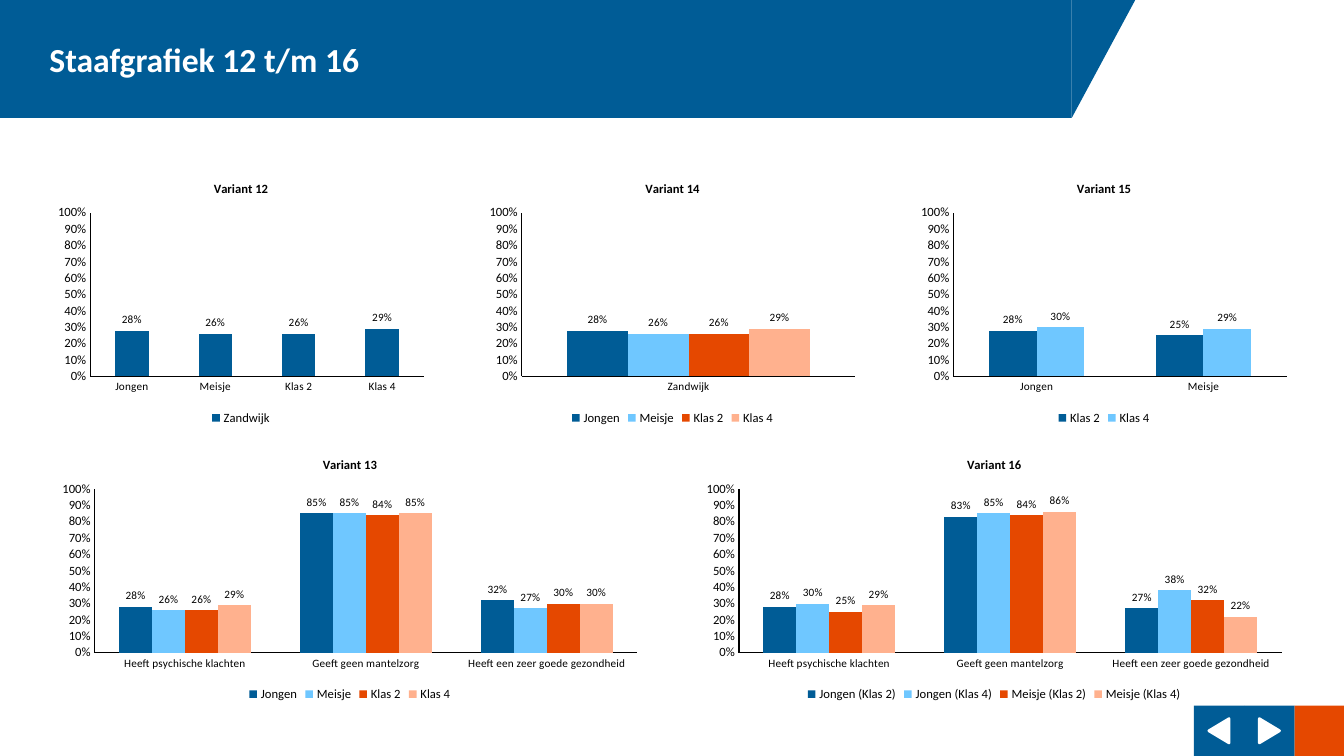
"""Build a slide with five clustered column charts below a title banner."""
from pptx import Presentation
from pptx.chart.data import CategoryChartData as Data
from pptx.dml.color import RGBColor
from pptx.enum.chart import XL_CHART_TYPE as Kind
from pptx.enum.chart import XL_LABEL_POSITION as Spot
from pptx.enum.chart import XL_LEGEND_POSITION as Side
from pptx.enum.chart import XL_TICK_MARK as Tick
from pptx.enum.shapes import MSO_SHAPE as Form
from pptx.enum.text import MSO_ANCHOR as Anchor
from pptx.oxml.ns import qn
from pptx.util import Inches, Pt
from lxml.etree import SubElement

BLUE = RGBColor(0x00, 0x5C, 0x96)
SKY = RGBColor(0x6F, 0xC7, 0xFF)
ORANGE = RGBColor(0xE5, 0x48, 0x00)
PEACH = RGBColor(0xFF, 0xB1, 0x8E)
BLACK = RGBColor(0, 0, 0)
WHITE = RGBColor(255, 255, 255)
HUES = (BLUE, SKY, ORANGE, PEACH)
FONT = "Calibri"

TITLE = "Staafgrafiek 12 t/m 16"
THEMES = ["Heeft psychische klachten", "Geeft geen mantelzorg",
          "Heeft een zeer goede gezondheid"]
TOP_ROW = [
    ("Variant 12", ["Jongen", "Meisje", "Klas 2", "Klas 4"],
     {"Zandwijk": (0.28, 0.26, 0.26, 0.29)}),
    ("Variant 14", ["Zandwijk"],
     {"Jongen": (0.28,), "Meisje": (0.26,),
      "Klas 2": (0.26,), "Klas 4": (0.29,)}),
    ("Variant 15", ["Jongen", "Meisje"],
     {"Klas 2": (0.28, 0.25), "Klas 4": (0.30, 0.29)}),
]
LOW_ROW = [
    ("Variant 13", THEMES,
     {"Jongen": (0.28, 0.85, 0.32), "Meisje": (0.26, 0.85, 0.27),
      "Klas 2": (0.26, 0.84, 0.30), "Klas 4": (0.29, 0.85, 0.30)}),
    ("Variant 16", THEMES,
     {"Jongen (Klas 2)": (0.28, 0.83, 0.27),
      "Jongen (Klas 4)": (0.30, 0.85, 0.38),
      "Meisje (Klas 2)": (0.25, 0.84, 0.32),
      "Meisje (Klas 4)": (0.29, 0.86, 0.22)}),
]
ROWS = [(1.66, 3.78, 4.28, TOP_ROW), (4.40, 5.94, 6.39, LOW_ROW)]
LEFT, HIGH = 0.5, 2.6
BAR_W, BAR_H, SLOPE = 10.63, 1.17, 0.63
NAV_X, NAV_Y, NAV = 11.84, 7, 0.5
NAV_KEYS = [(BLUE, 270), (BLUE, 90), (ORANGE, None)]


def add_form(slide, form, box, hue):
    shape = slide.shapes.add_shape(form, *map(Inches, box))
    shape.shadow.inherit = False
    shape.fill.solid()
    shape.fill.fore_color.rgb = hue
    shape.line.fill.background()
    return shape


def style(font, size, hue=BLACK, bold=False):
    font.name, font.size, font.bold = FONT, Pt(size), bold
    font.color.rgb = hue


def add_banner(slide):
    slope = add_form(slide, Form.RIGHT_TRIANGLE,
                     (BAR_W, 0, SLOPE, BAR_H), BLUE)
    slope.rotation = 180
    slope.element.spPr.find(qn("a:xfrm")).set("flipH", "1")
    bar = add_form(slide, Form.RECTANGLE, (0, 0, BAR_W, BAR_H), BLUE)
    frame = bar.text_frame
    frame.word_wrap = True
    frame.vertical_anchor = Anchor.MIDDLE
    frame.margin_left = Inches(0.49)
    para = frame.paragraphs[0]
    para.text = TITLE
    para.alignment = 1
    style(para.font, 24, WHITE, True)


def add_nav(slide):
    for i, (hue, turn) in enumerate(NAV_KEYS):
        x = NAV_X + i * NAV
        add_form(slide, Form.RECTANGLE, (x, NAV_Y, NAV, NAV), hue)
        if turn is None:
            continue
        arrow = add_form(slide, Form.ISOSCELES_TRIANGLE,
                         (x + 0.13, NAV_Y + 0.15, 0.24, 0.2), WHITE)
        arrow.rotation = turn
        arrow.line.color.rgb = WHITE
        arrow.line.width = Pt(2)
        SubElement(arrow.line.fill._xPr, qn("a:round"))


def style_axis(axis, size):
    axis.has_major_gridlines = False
    axis.major_tick_mark = axis.minor_tick_mark = Tick.NONE
    axis.format.line.color.rgb = BLACK
    axis.format.line.width = Pt(1)
    style(axis.tick_labels.font, size)


def add_bars(slide, box, name, cats, series):
    data = Data(number_format="0%")
    data.categories = cats
    for label, vals in series.items():
        data.add_series(label, vals)
    chart = slide.shapes.add_chart(
        Kind.COLUMN_CLUSTERED, *map(Inches, box), data).chart
    style(chart.font, 18)
    chart.has_title = True
    para = chart.chart_title.text_frame.paragraphs[0]
    para.text = name
    style(para.font, 9, bold=True)
    chart.chart_title.include_in_layout = False
    chart.has_legend = True
    chart.legend.position = Side.BOTTOM
    chart.legend.include_in_layout = False
    style(chart.legend.font, 9)
    style_axis(chart.category_axis, 8)
    scale = chart.value_axis
    style_axis(scale, 9)
    scale.minimum_scale, scale.maximum_scale, scale.major_unit = 0, 1, 0.1
    scale.tick_labels.number_format = "0%"
    scale.tick_labels.number_format_is_linked = False
    plot = chart.plots[0]
    plot.gap_width, plot.overlap = 150, 0
    plot.vary_by_categories = False
    for bars, hue in zip(plot.series, HUES):
        bars.format.fill.solid()
        bars.format.fill.fore_color.rgb = hue
        tags = bars.data_labels
        tags.show_value = True
        tags.position = Spot.OUTSIDE_END
        tags.number_format = "0%"
        tags.number_format_is_linked = False
        style(tags.font, 8)


def main():
    deck = Presentation()
    deck.slide_width, deck.slide_height = Inches(13.33), Inches(7.5)
    slide = deck.slides.add_slide(deck.slide_layouts[6])
    add_nav(slide)
    add_banner(slide)
    for top, wide, step, row in ROWS:
        for i, item in enumerate(row):
            add_bars(slide, (LEFT + i * step, top, wide, HIGH), *item)
    deck.save("out.pptx")


if __name__ == "__main__":
    main()
